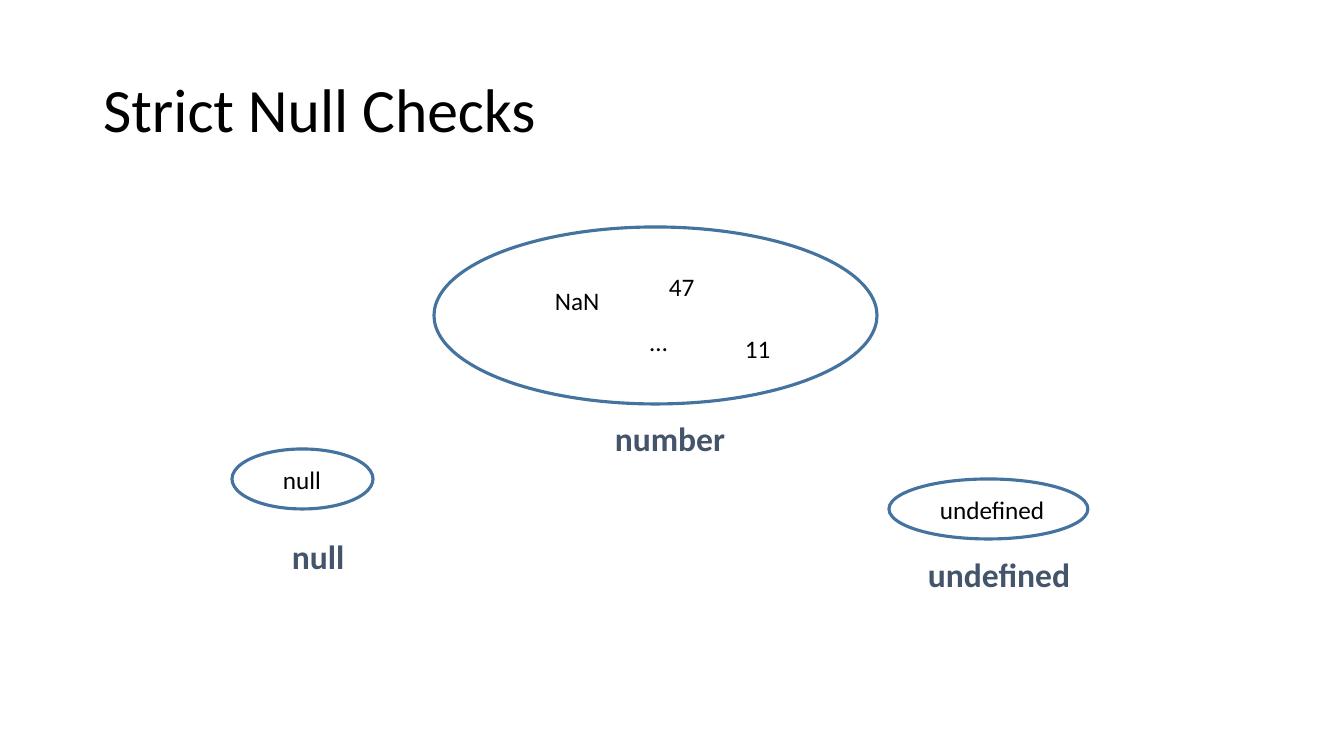
from pptx import Presentation
from pptx.dml.color import RGBColor
from pptx.enum.shapes import MSO_SHAPE
from pptx.enum.text import MSO_ANCHOR, MSO_AUTO_SIZE, PP_ALIGN
from pptx.util import Emu, Pt

EMU_PER_PX = 914400 / 100.8


def px(length):
    return Emu(round(length * EMU_PER_PX))


def color(hex_string):
    return RGBColor.from_string(hex_string)


class SlideBuilder:
    font = "Calibri"
    ink = "000000"
    label_ink = "44546A"
    outline = "43739E"
    paper = "FFFFFF"

    def __init__(self, slide):
        self.slide = slide

    def add_run(self, paragraph, text, size, ink, bold=False):
        run = paragraph.add_run()
        run.text = text
        run.font.name = self.font
        run.font.size = Pt(size)
        run.font.bold = bold
        run.font.color.rgb = color(ink)

    def title(self, text, left, top, width, height):
        heading = self.slide.shapes.title
        heading.left, heading.top = px(left), px(top)
        heading.width, heading.height = px(width), px(height)
        frame = heading.text_frame
        frame.word_wrap = True
        frame.vertical_anchor = MSO_ANCHOR.MIDDLE
        paragraph = frame.paragraphs[0]
        paragraph.alignment = PP_ALIGN.LEFT
        paragraph.line_spacing = 0.9
        self.add_run(paragraph, text, 44, self.ink)

    def type_set(self, left, top, width, height):
        ellipse = self.slide.shapes.add_shape(
            MSO_SHAPE.OVAL, px(left), px(top), px(width), px(height))
        ellipse.shadow.inherit = False
        ellipse.fill.solid()
        ellipse.fill.fore_color.rgb = color(self.paper)
        ellipse.line.color.rgb = color(self.outline)
        ellipse.line.width = Pt(2.25)

    def text(self, text, left, top, width, height, size, ink, bold, wrap):
        box = self.slide.shapes.add_textbox(
            px(left), px(top), px(width), px(height))
        frame = box.text_frame
        frame.word_wrap = wrap
        frame.auto_size = MSO_AUTO_SIZE.SHAPE_TO_FIT_TEXT
        self.add_run(frame.paragraphs[0], text, size, ink, bold)

    def value(self, text, left, top, width):
        self.text(text, left, top, width, 40, 18, self.ink, False, False)

    def type_label(self, text, left, top):
        self.text(text, left, top, 220, 50, 24, self.label_ink, True, True)


def main():
    deck = Presentation()
    deck.slide_width, deck.slide_height = px(1344), px(756)
    title_only = deck.slide_layouts[5]
    builder = SlideBuilder(deck.slides.add_slide(title_only))

    builder.title("Strict Null Checks", 93, 40, 1159, 146)

    # Each type: its ellipse, its label, and the values inside it
    types = [
        ("number", (434, 227, 443, 177), (605, 413),
         [("47", 659, 266, 46), ("NaN", 545, 280, 66),
          ("11", 735, 328, 46), ("…", 640, 321, 38)]),
        ("null", (232, 449, 141, 60), (282, 531),
         [("null", 273, 459, 58)]),
        ("undefined", (889, 479, 199, 60), (918, 549),
         [("undefined", 930, 489, 126)]),
    ]
    for name, ellipse_box, label_corner, values in types:
        builder.type_set(*ellipse_box)
        builder.type_label(name, *label_corner)
        for value in values:
            builder.value(*value)

    deck.save("out.pptx")


if __name__ == "__main__":
    main()
